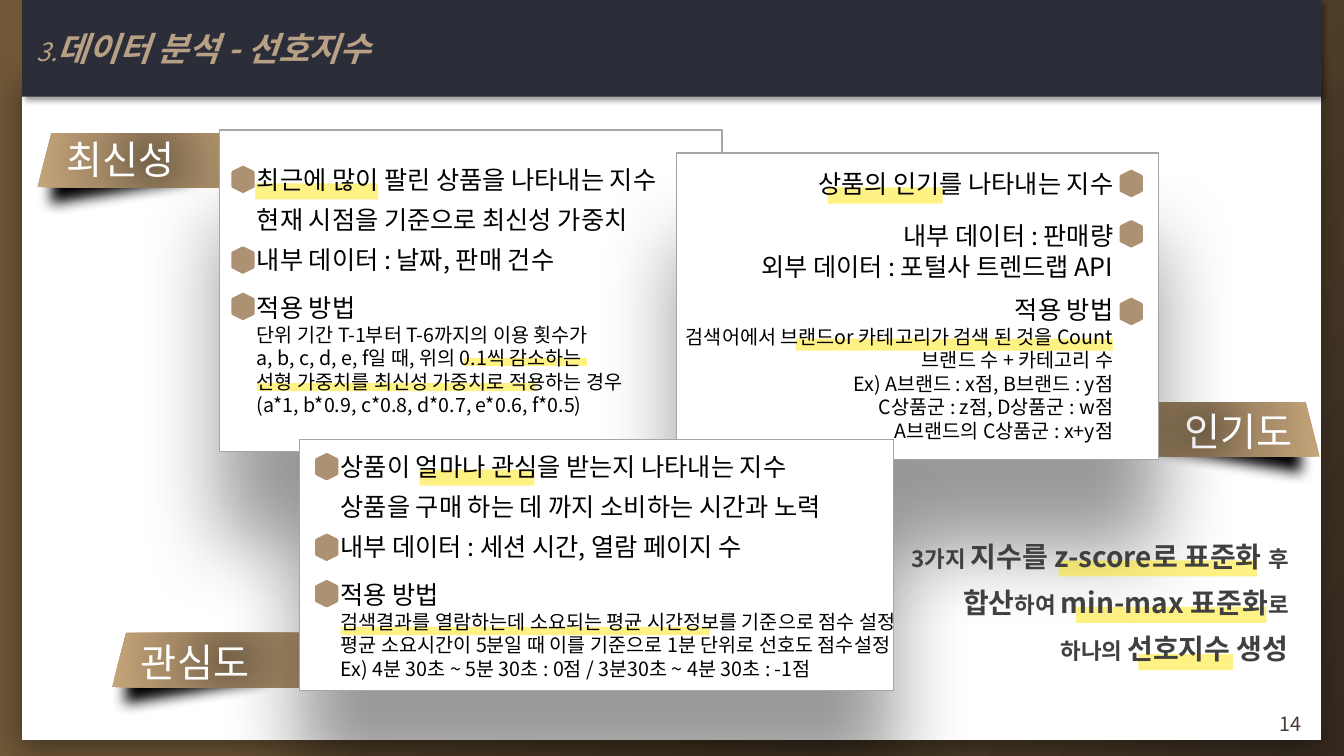
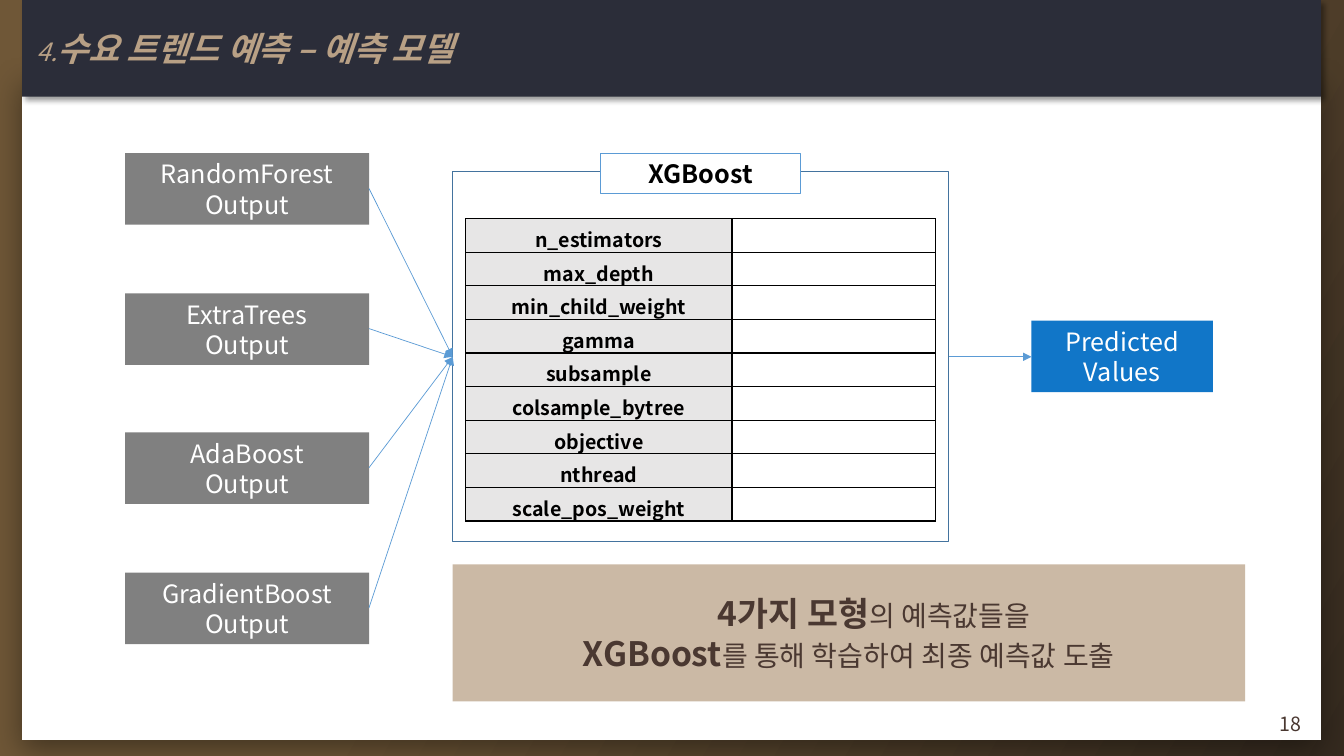
from dataclasses import dataclass
from typing import NamedTuple

from lxml.etree import SubElement
from pptx import Presentation
from pptx.dml.color import RGBColor
from pptx.enum.shapes import MSO_CONNECTOR, MSO_SHAPE
from pptx.enum.text import MSO_ANCHOR, MSO_AUTO_SIZE, PP_ALIGN
from pptx.oxml import parse_xml
from pptx.oxml.ns import nsdecls, qn
from pptx.util import Emu, Pt

EMU_PER_PX = 9144  # 100 px to the inch
LEFT, CENTER, RIGHT = PP_ALIGN.LEFT, PP_ALIGN.CENTER, PP_ALIGN.RIGHT


@dataclass(frozen=True)
class Theme:
    font: str = "Noto Sans CJK KR"
    white: str = "FFFFFF"
    black: str = "000000"
    back_dark: str = "352A1F"
    back_light: str = "6F5737"
    header: str = "2B2D39"
    title: str = "B8A085"
    brown: str = "4A3831"
    ribbon: tuple[str, ...] = ("756248", "A68B67", "C5A57A")
    card_line: str = "A6A6A6"
    bullet: str = "AD9173"
    marker: str = "FFE60D"
    summary: str = "404040"
    model: str = "808080"
    frame: str = "43739E"
    arrow: str = "5B9BD5"
    result: str = "1176C8"
    param: str = "E7E6E6"
    note: str = "CBB9A5"
    small: int = 14
    medium: int = 16
    body: int = 18
    large: int = 20
    heading: int = 24
    label: int = 28


T = Theme()


class Box(NamedTuple):
    x: int
    y: int
    w: int
    h: int


class Run(NamedTuple):
    text: str
    size: int = T.body
    color: str = T.black
    bold: bool = False
    italic: bool = False


class Shadow(NamedTuple):
    blur: int
    dist: int
    angle: int


@dataclass(frozen=True)
class Ribbon:
    x: int
    y: int
    text: str
    mirrored: bool = False
    label_dy: int = 0


@dataclass(frozen=True)
class TextBlock:
    """Unwrapped text: the first `lead` lines in body size, the rest small."""
    box: Box
    lines: tuple[str, ...]
    lead: int = 1


@dataclass(frozen=True)
class Card:
    box: Box
    bullet_x: int
    bullet_ys: tuple[int, ...]
    markers: tuple[Box, ...]
    blocks: tuple[TextBlock, ...]
    align: PP_ALIGN = LEFT


RIBBONS = (
    Ribbon(37, 132, "최신성", label_dy=-3),
    Ribbon(111, 628, "관심도"),
    Ribbon(1080, 399, "인기도", mirrored=True),
)

CARDS = (
    Card(Box(218, 129, 498, 319), 229, (168, 248, 294),
         (Box(253, 182, 122, 16), Box(460, 355, 122, 8), Box(255, 380, 276, 8)),
         (TextBlock(Box(245, 158, 469, 40), ("최근에 많이 팔린 상품을 나타내는 지수",)),
          TextBlock(Box(245, 198, 435, 40), ("현재 시점을 기준으로 최신성 가중치",)),
          TextBlock(Box(245, 237, 354, 40), ("내부 데이터 : 날짜, 판매 건수",)),
          TextBlock(Box(245, 285, 427, 135), (
              "적용 방법",
              "단위 기간 T-1부터 T-6까지의 이용 횟수가",
              "a, b, c, d, e, f일 때, 위의 0.1씩 감소하는",
              "선형 가중치를 최신성 가중치로 적용하는 경우",
              "(a*1, b*0.9, c*0.8, d*0.7, e*0.6, f*0.5)")))),
    Card(Box(671, 152, 478, 304), 1110, (172, 222, 299),
         (Box(821, 186, 114, 16), Box(789, 336, 315, 12)),
         (TextBlock(Box(764, 162, 350, 40), ("상품의 인기를 나타내는 지수",)),
          TextBlock(Box(703, 214, 411, 71),
                    ("내부 데이터 : 판매량", "외부 데이터 : 포털사 트렌드랩 API"), lead=2),
          TextBlock(Box(627, 287, 487, 158), (
              "적용 방법",
              "검색어에서 브랜드or 카테고리가 검색 된 것을 Count",
              "브랜드 수 + 카테고리 수",
              "Ex) A브랜드 : x점, B브랜드 : y점",
              "C상품군 : z점, D상품군 : w점",
              "A브랜드의 C상품군 : x+y점"))), RIGHT),
    Card(Box(297, 436, 589, 249), 312, (453, 533, 579),
         (Box(416, 466, 114, 16), Box(338, 622, 366, 8)),
         (TextBlock(Box(328, 443, 519, 40), ("상품이 얼마나 관심을 받는지 나타내는 지수",)),
          TextBlock(Box(328, 483, 562, 40), ("상품을 구매 하는 데 까지 소비하는 시간과 노력",)),
          TextBlock(Box(328, 522, 473, 40), ("내부 데이터 : 세션 시간, 열람 페이지 수",)),
          TextBlock(Box(328, 570, 637, 111), (
              "적용 방법",
              "검색결과를 열람하는데 소요되는 평균 시간정보를 기준으로 점수 설정",
              "평균 소요시간이 5분일 때 이를 기준으로 1분 단위로 선호도 점수설정",
              "Ex) 4분 30초 ~ 5분 30초 : 0점 / 3분30초 ~ 4분 30초 : -1점")))),
)

SUMMARY = (
    (("3가지 ", T.medium), ("지수를 z-score로 표준화 ", T.large), ("후", T.medium)),
    (("합산", T.large), ("하여 ", T.medium), ("min-max 표준화", T.large), ("로", T.medium)),
    (("하나의 ", T.medium), ("선호지수 생성", T.large)),
)
SUMMARY_MARKERS = (Box(1050, 556, 197, 16), Box(1067, 602, 189, 16), Box(1129, 649, 94, 16))

MODELS = ("RandomForest", "ExtraTrees", "AdaBoost", "GradientBoost")
PARAMS = ("n_estimators", "max_depth", "min_child_weight", "gamma", "subsample",
          "colsample_bytree", "objective", "nthread", "scale_pos_weight")


def px(n: int) -> Emu:
    return Emu(n * EMU_PER_PX)


def rgb(color: str) -> RGBColor:
    return RGBColor.from_string(color)


def write(tf, paragraphs, align=LEFT, anchor=MSO_ANCHOR.TOP, space_after=0) -> None:
    tf.vertical_anchor = anchor
    for i, runs in enumerate(paragraphs):
        p = tf.add_paragraph() if i else tf.paragraphs[0]
        p.alignment = align
        if space_after:
            p.space_after = Pt(space_after)
        for run in runs:
            r = p.add_run()
            r.text = run.text
            f = r.font
            f.name, f.size = T.font, Pt(run.size)
            f.bold, f.italic = run.bold, run.italic
            f.color.rgb = rgb(run.color)
            SubElement(r._r.get_or_add_rPr(), qn("a:ea")).set("typeface", T.font)


def add_text(slide, box: Box, paragraphs, wrap=True, grow=True, **style):
    sp = slide.shapes.add_textbox(*map(px, box))
    tf = sp.text_frame
    tf.word_wrap = wrap
    tf.auto_size = MSO_AUTO_SIZE.SHAPE_TO_FIT_TEXT if grow else MSO_AUTO_SIZE.NONE
    write(tf, paragraphs, **style)
    return sp


def add_box(slide, box: Box, fill="", line="", width=1.0, kind=MSO_SHAPE.RECTANGLE,
            shadow: Shadow | None = None):
    sp = slide.shapes.add_shape(kind, *map(px, box))
    sp.shadow.inherit = False
    if fill:
        sp.fill.solid()
        sp.fill.fore_color.rgb = rgb(fill)
    else:
        sp.fill.background()
    if line:
        sp.line.color.rgb = rgb(line)
        sp.line.width = Pt(width)
    else:
        sp.line.fill.background()
    if shadow:
        add_effect(sp, f'<a:outerShdw {nsdecls("a")} blurRad="{Pt(shadow.blur)}" '
                       f'dist="{Pt(shadow.dist)}" dir="{shadow.angle * 60000}" '
                       f'algn="t" rotWithShape="0"><a:srgbClr val="{T.black}">'
                       '<a:alpha val="40000"/></a:srgbClr></a:outerShdw>')
    return sp


def add_effect(sp, xml: str) -> None:
    sp._element.spPr.find(qn("a:effectLst")).append(parse_xml(xml))


def add_label_box(slide, box: Box, paragraphs, fill: str, line="", width=1.0):
    sp = add_box(slide, box, fill, line, width)
    sp.text_frame.word_wrap = True
    write(sp.text_frame, paragraphs, CENTER, MSO_ANCHOR.MIDDLE)
    return sp


def add_marker(slide, box: Box) -> None:
    """Half-transparent highlighter stroke."""
    sp = add_box(slide, box, T.marker)
    color = sp._element.spPr.find(qn("a:solidFill"))[0]
    SubElement(color, qn("a:alpha")).set("val", "50000")


def add_ribbon(slide, ribbon: Ribbon) -> None:
    x, y, m = ribbon.x, ribbon.y, ribbon.mirrored
    under = add_box(slide, Box(x + (48 if m else -10), y + 14, 186, 60), T.black,
                    kind=MSO_SHAPE.PARALLELOGRAM)
    under.rotation = 9.3 if m else 350.7
    add_effect(under, f'<a:softEdge {nsdecls("a")} rad="{Pt(10)}"/>')
    band = add_box(slide, Box(x, y, 229, 54), kind=MSO_SHAPE.PARALLELOGRAM)
    stops = "".join(f'<a:gs pos="{i * 50000}"><a:srgbClr val="{c}"/></a:gs>'
                    for i, c in enumerate(T.ribbon))
    no_fill = band._element.spPr.find(qn("a:noFill"))
    no_fill.addnext(parse_xml(
        f'<a:gradFill {nsdecls("a")} rotWithShape="1"><a:gsLst>{stops}</a:gsLst>'
        '<a:path path="circle"><a:fillToRect l="50000" t="50000" r="50000" b="50000"/>'
        '</a:path></a:gradFill>'))
    band._element.spPr.remove(no_fill)
    for sp in (under, band):
        sp.adjustments[0] = 0.26
        if m:
            sp._element.spPr.find(qn("a:xfrm")).set("flipH", "1")
    add_text(slide, Box(x + (3 if m else 19), y + ribbon.label_dy, 209, 57),
             [[Run(ribbon.text, T.label, T.white)]], align=RIGHT if m else LEFT)


def add_card_content(slide, card: Card) -> None:
    for marker in card.markers:
        add_marker(slide, marker)
    for y in card.bullet_ys:
        sp = add_box(slide, Box(card.bullet_x, y, 24, 20), T.bullet, T.bullet, 2.25,
                     MSO_SHAPE.HEXAGON)
        sp.rotation = 90
    for block in card.blocks:
        lines = [[Run(text, T.body if i < block.lead else T.small)]
                 for i, text in enumerate(block.lines)]
        add_text(slide, block.box, lines, wrap=False, align=card.align)


def add_arrow(slide, x1: int, y1: int, x2: int, y2: int) -> None:
    c = slide.shapes.add_connector(MSO_CONNECTOR.STRAIGHT, *map(px, (x1, y1, x2, y2)))
    c.line.color.rgb = rgb(T.arrow)
    c.line.width = Pt(0.5)
    SubElement(c.line._get_or_add_ln(), qn("a:tailEnd")).set("type", "triangle")
    SubElement(c._element.spPr, qn("a:effectLst"))


def style_cell(cell, fill="") -> None:
    tc_pr = cell._tc.get_or_add_tcPr()
    for side in ("lnL", "lnR", "lnT", "lnB"):
        tc_pr.append(parse_xml(
            f'<a:{side} {nsdecls("a")} w="{Pt(1)}"><a:solidFill>'
            f'<a:srgbClr val="{T.black}"/></a:solidFill></a:{side}>'))
    if fill:
        cell.fill.solid()
        cell.fill.fore_color.rgb = rgb(fill)
    else:
        cell.fill.background()
    cell.margin_top, cell.margin_bottom = px(6), px(0)
    cell.vertical_anchor = MSO_ANCHOR.MIDDLE


def add_param_table(slide, box: Box) -> None:
    table = slide.shapes.add_table(len(PARAMS), 2, *map(px, box)).table
    table.first_row = table.horz_banding = False
    table.columns[0].width, table.columns[1].width = px(264), px(box.w - 264)
    for i, name in enumerate(PARAMS):
        table.rows[i].height = px(box.h) // len(PARAMS)
        key, value = table.cell(i, 0), table.cell(i, 1)
        style_cell(key, T.param)
        write(key.text_frame, [[Run(name, T.small, bold=True)]], CENTER, MSO_ANCHOR.MIDDLE)
        style_cell(value)
        end = SubElement(value.text_frame.paragraphs[0]._p, qn("a:endParaRPr"))
        end.set("sz", str(T.small * 100))


def add_slide(prs, section: str, title: str, number: int):
    s = prs.slides.add_slide(prs.slide_layouts[6])
    add_box(s, Box(22, 74, 1288, 660), T.white, shadow=Shadow(22, 8, 90))
    add_box(s, Box(22, 0, 1288, 96), T.header, shadow=Shadow(4, 3, 45))
    sp = add_text(s, Box(36, 0, 690, 96),
                  [[Run(section, T.body, T.title, italic=True),
                    Run(title, T.heading, T.title, bold=True, italic=True)]],
                  grow=False, anchor=MSO_ANCHOR.MIDDLE)
    tf = sp.text_frame
    tf.margin_left = tf.margin_right = tf.margin_top = tf.margin_bottom = 0
    add_text(s, Box(1001, 698, 300, 40), [[Run(str(number), T.small, T.brown)]],
             grow=False, align=RIGHT, anchor=MSO_ANCHOR.MIDDLE)
    return s


def build_preference_slide(prs) -> None:
    s = add_slide(prs, "3.", "데이터 분석 - 선호지수", 14)
    for ribbon in RIBBONS:
        add_ribbon(s, ribbon)
    for card in CARDS:
        add_box(s, card.box, T.white, T.card_line, shadow=Shadow(59, 64, 90))
    for card in CARDS:
        add_card_content(s, card)
    for marker in SUMMARY_MARKERS:
        add_marker(s, marker)
    add_text(s, Box(875, 530, 413, 163),
             [[Run(text, size, T.summary, bold=True) for text, size in line]
              for line in SUMMARY], align=RIGHT, space_after=9)


def build_model_slide(prs) -> None:
    s = add_slide(prs, "4.", "수요 트렌드 예측 – 예측 모델", 18)
    frame, model_h, middle = Box(449, 170, 492, 367), 71, 354
    add_box(s, frame, line=T.frame)
    add_label_box(s, Box(596, 152, 198, 40), [[Run("XGBoost", bold=True)]],
                  T.white, T.arrow, 0.75)
    for i, name in enumerate(MODELS):
        box = Box(124, 152 + round(i * 138.67), 242, model_h)
        add_label_box(s, box, [[Run(text, color=T.white)] for text in (name, "Output")],
                      T.model)
        add_arrow(s, box.x + box.w, box.y + model_h // 2, frame.x, middle)
    add_label_box(s, Box(1023, 318, 180, model_h),
                  [[Run("Predicted Values", color=T.white)]], T.result)
    add_arrow(s, frame.x + frame.w, middle, 1023, middle)
    add_param_table(s, Box(462, 217, 466, 300))
    note = add_label_box(s, Box(449, 560, 786, 136), [
        [Run("4가지 모형", T.heading, T.brown, bold=True),
         Run("의 예측값들을", T.large, T.brown)],
        [Run("XGBoost", T.heading, T.brown, bold=True),
         Run("를 통해 학습하여 최종 예측값 도출", T.large, T.brown)]], T.note)
    p_pr = note.text_frame.paragraphs[0]._p.get_or_add_pPr()
    p_pr.set("marL", str(px(50)))
    p_pr.set("indent", "0")


def main() -> None:
    prs = Presentation()
    prs.slide_width, prs.slide_height = px(1333), px(750)
    fill = prs.slide_master.background.fill
    fill.gradient()
    fill.gradient_angle = 150
    for stop, color, position in zip(fill.gradient_stops, (T.back_dark, T.back_light),
                                     (0, 0.58)):
        stop.color.rgb = rgb(color)
        stop.position = position
    build_preference_slide(prs)
    build_model_slide(prs)
    prs.save("out.pptx")


if __name__ == "__main__":
    main()
